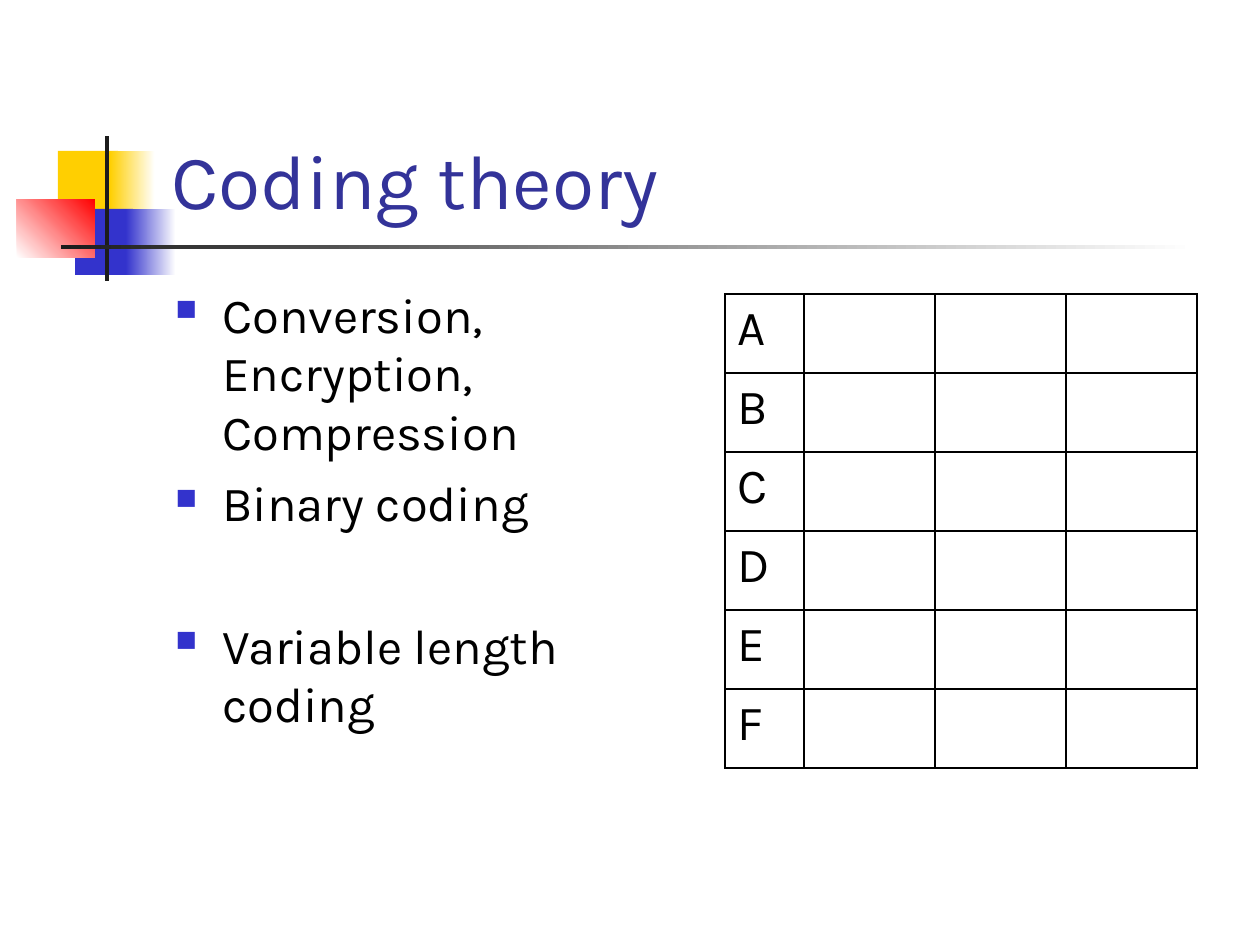
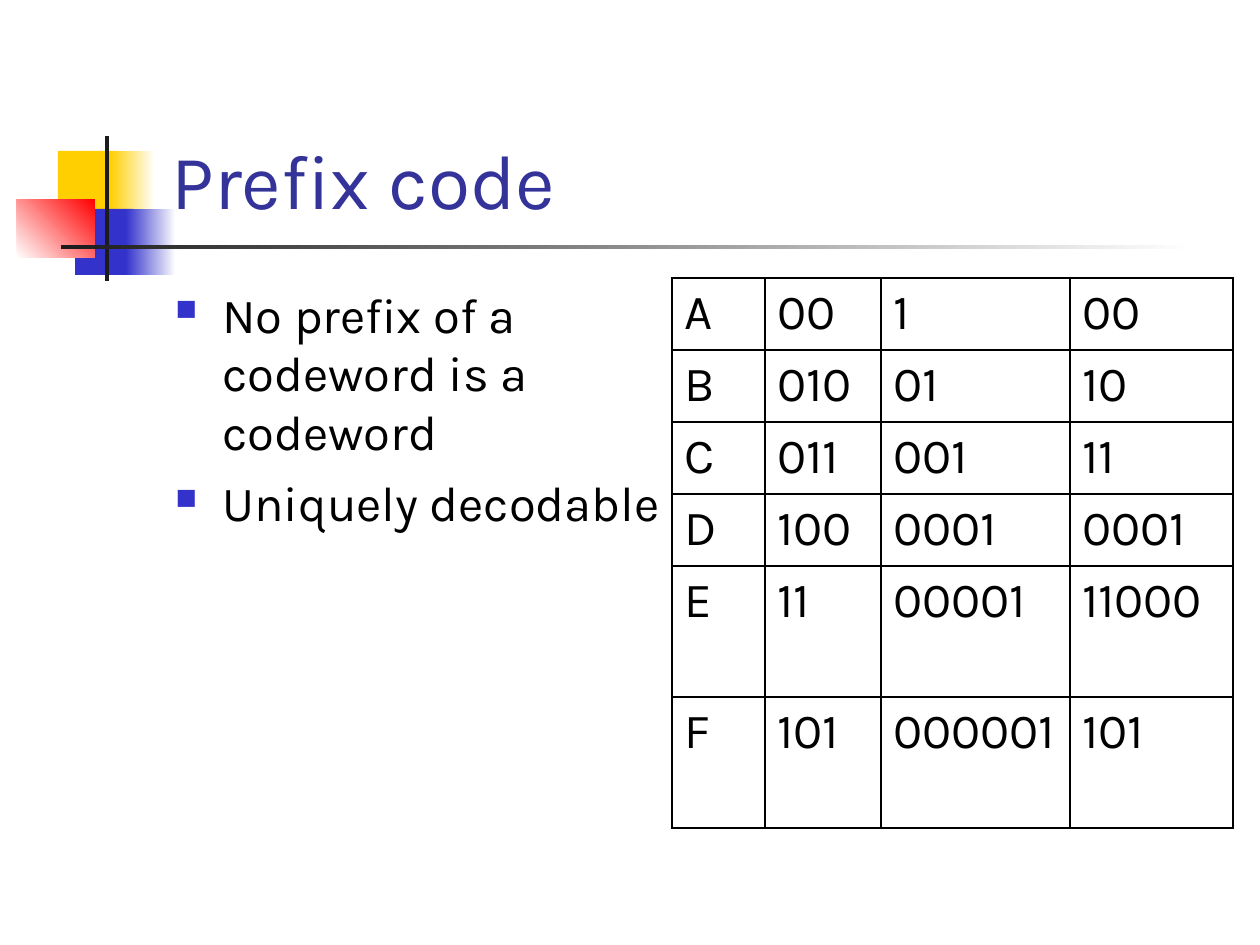
from lxml.etree import SubElement
from pptx import Presentation
from pptx.dml.color import RGBColor
from pptx.enum.shapes import MSO_SHAPE
from pptx.enum.text import MSO_ANCHOR, MSO_AUTO_SIZE, PP_ALIGN
from pptx.oxml.ns import qn
from pptx.util import Emu, Pt

# Shared look
FONT = "Karla"
WHITE = RGBColor(0xFF, 0xFF, 0xFF)
BLACK = RGBColor(0x00, 0x00, 0x00)
INK = RGBColor(0x1C, 0x1C, 0x1C)
GOLD = RGBColor(0xFF, 0xCF, 0x01)
BLUE = RGBColor(0x33, 0x33, 0xCC)
RED = RGBColor(0xFF, 0x00, 0x00)
NAVY = RGBColor(0x33, 0x33, 0x99)
TITLE_BOX = (159, 29, 1074, 202)
BODY_BOX = (163, 278, 525, 567)
INDENT = 47
GAP, WIDE_GAP = 7, 47.6  # points before a bullet
BORDER = Pt(1.08)

# Corner blocks and cross: box, start colour, end colour, angle
DECOR = [
    ((58, 151, 60, 66), GOLD, None, 0),
    ((110, 151, 45, 66), GOLD, WHITE, 0),
    ((75, 209, 58, 66), BLUE, None, 0),
    ((126, 209, 50, 66), BLUE, WHITE, 0),
    ((17, 199, 78, 59), WHITE, RED, 45),
    ((105, 136, 4, 145), INK, None, 0),
    ((61, 245, 1134, 4), INK, WHITE, 0),
]

# Content: bullets are (text, points before)
SLIDES = [
    {
        "title": "Coding theory",
        "points": [
            ("Conversion, Encryption, Compression", 0),
            ("Binary coding", GAP),
            ("Variable length coding", WIDE_GAP),
        ],
        "at": (725, 294),
        "cols": [79] + [131] * 3,
        "rows": [79] * 6,
        "cells": [[mark, "", "", ""] for mark in "ABCDEF"],
    },
    {
        "title": "Prefix code",
        "points": [
            ("No prefix of a codeword is a codeword", 0),
            ("Uniquely decodable", GAP),
        ],
        "at": (672, 278),
        "cols": [93, 116, 189, 163],
        "rows": [72] * 4 + [131] * 2,
        "cells": [
            ["A", "00", "1", "00"],
            ["B", "010", "01", "10"],
            ["C", "011", "001", "11"],
            ["D", "100", "0001", "0001"],
            ["E", "11", "00001", "11000"],
            ["F", "101", "000001", "101"],
        ],
    },
]


def px(n):
    return Emu(round(n * 914400 / 126))


def write(para, text, size=28, color=BLACK):
    run = para.add_run()
    run.text = text
    run.font.name = FONT
    run.font.size = Pt(size)
    run.font.color.rgb = color


def add_decor(slide):
    for box, start, end, angle in DECOR:
        block = slide.shapes.add_shape(MSO_SHAPE.RECTANGLE, *map(px, box))
        block.shadow.inherit = False
        block.line.fill.background()
        if end is None:
            block.fill.solid()
            block.fill.fore_color.rgb = start
        else:
            block.fill.gradient()
            block.fill.gradient_angle = angle
            for stop, color in zip(block.fill.gradient_stops, (start, end)):
                stop.color.rgb = color


def set_title(slide, text):
    title = slide.shapes.title
    title.left, title.top, title.width, title.height = map(px, TITLE_BOX)
    frame = title.text_frame
    frame.auto_size = MSO_AUTO_SIZE.NONE
    frame.word_wrap = True
    frame.vertical_anchor = MSO_ANCHOR.BOTTOM
    para = frame.paragraphs[0]
    para.alignment = PP_ALIGN.LEFT
    write(para, text, 44, NAVY)
    # Bring the title in front of the blocks
    slide.shapes.element.append(title.element)


def set_bullet(para):
    props = para._p.get_or_add_pPr()
    props.set("marL", str(px(INDENT)))
    props.set("indent", str(-px(INDENT)))
    tint = SubElement(props, qn("a:buClr"))
    SubElement(tint, qn("a:srgbClr"), val=str(BLUE))
    SubElement(props, qn("a:buSzPct"), val="60000")
    SubElement(props, qn("a:buChar"), char="■")


def add_points(slide, points):
    frame = slide.shapes.add_textbox(*map(px, BODY_BOX)).text_frame
    frame.word_wrap = True
    for i, (text, gap) in enumerate(points):
        para = frame.add_paragraph() if i else frame.paragraphs[0]
        set_bullet(para)
        if gap:
            para.space_before = Pt(gap)
        write(para, text)


def set_border(cell):
    props = cell._tc.get_or_add_tcPr()
    for side in "LRTB":
        line = SubElement(props, qn(f"a:ln{side}"), w=str(BORDER))
        fill = SubElement(line, qn("a:solidFill"))
        SubElement(fill, qn("a:srgbClr"), val=str(BLACK))


def add_codes(slide, at, cols, rows, cells):
    box = (*at, sum(cols), sum(rows))
    table = slide.shapes.add_table(len(rows), len(cols), *map(px, box)).table
    table.first_row = table.horz_banding = False
    for col, width in zip(table.columns, cols):
        col.width = px(width)
    for row, height, texts in zip(table.rows, rows, cells):
        row.height = px(height)
        for cell, text in zip(row.cells, texts):
            set_border(cell)
            cell.fill.background()
            if text:
                write(cell.text_frame.paragraphs[0], text)


def main():
    deck = Presentation()
    deck.slide_width, deck.slide_height = px(1260), px(945)
    for page in SLIDES:
        slide = deck.slides.add_slide(deck.slide_layouts[5])
        add_decor(slide)
        set_title(slide, page["title"])
        add_points(slide, page["points"])
        add_codes(slide, page["at"], page["cols"], page["rows"], page["cells"])
    deck.save("out.pptx")


if __name__ == "__main__":
    main()
